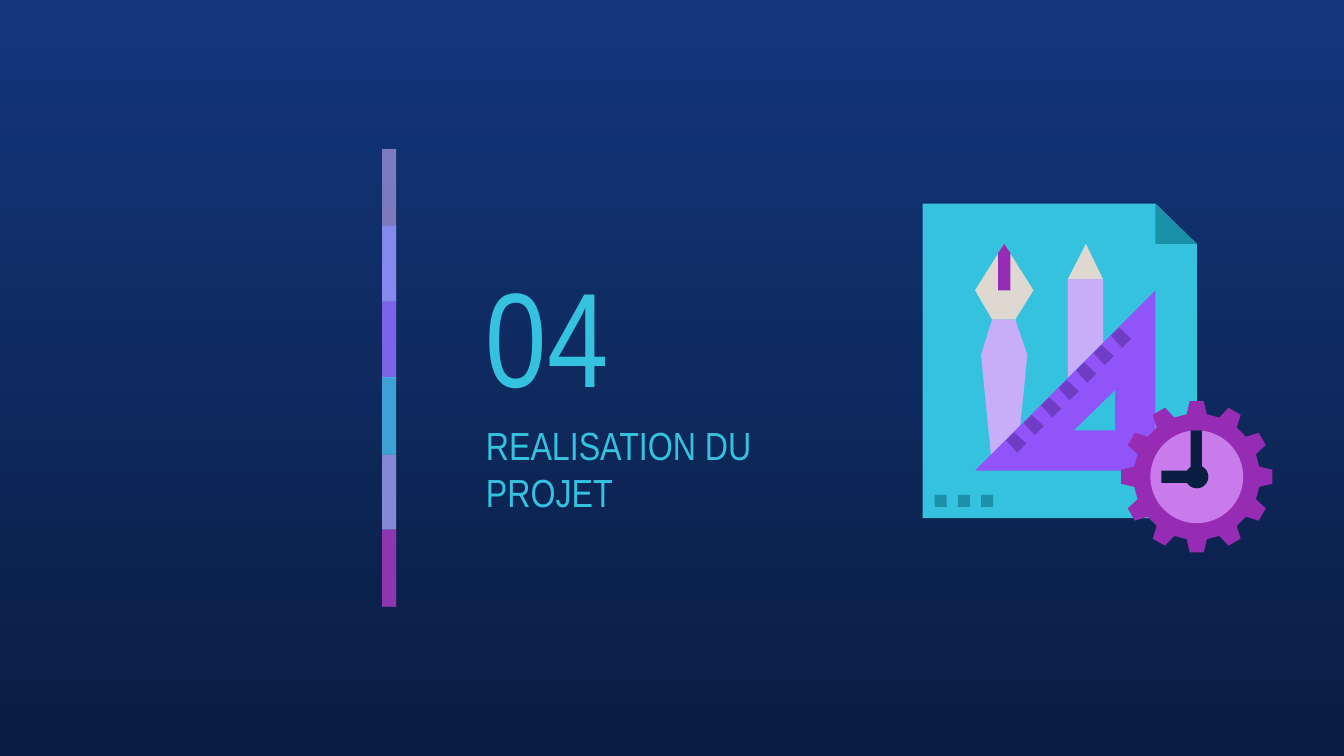
import math

from lxml import etree
from pptx import Presentation
from pptx.dml.color import RGBColor
from pptx.enum import shapes, text
from pptx.oxml.ns import qn
from pptx.util import Inches, Pt

NAVY, CYAN, TEAL = "0A1D42", "35C2DF", "1B91A9"
LILAC, VIOLET, INDIGO = "C8AEF8", "9154F8", "6F3CC6"
PURPLE, ORCHID, BEIGE = "972CB4", "CA7BEB", "DED8D0"
RECT, OVAL = shapes.MSO_SHAPE.RECTANGLE, shapes.MSO_SHAPE.OVAL


def rgb(color):
    return RGBColor.from_string(color)


def paint(sp, color, opacity=100):
    sp.shadow.inherit = False
    sp.fill.solid()
    sp.fill.fore_color.rgb = rgb(color)
    sp.line.fill.background()
    if opacity < 100:
        clr = sp._element.spPr.find(qn("a:solidFill"))[0]
        etree.SubElement(clr, qn("a:alpha"), val=str(opacity * 1000))


def add_preset(parent, kind, left, top, width, height, color, opacity=100):
    box = [Inches(n) for n in (left, top, width, height)]
    paint(parent.add_shape(kind, *box), color, opacity)


def add_outline(parent, color, *contours):
    builder = None
    for contour in contours:
        points = [(Inches(x), Inches(y)) for x, y in contour]
        if builder is None:
            builder = parent.build_freeform(*points[0])
        else:
            builder.move_to(*points[0])
        builder.add_line_segments(points[1:], close=True)
    paint(builder.convert_to_shape(), color)


def add_disc(parent, center, radius, color):
    x, y = center
    add_preset(parent, OVAL, x - radius, y - radius, 2 * radius, 2 * radius, color)


def set_text(sp, box, words, size):
    sp.left, sp.top, sp.width, sp.height = [Inches(n) for n in box]
    tf = sp.text_frame
    tf.text = words
    tf.word_wrap = True
    tf.auto_size = text.MSO_AUTO_SIZE.NONE
    tf.vertical_anchor = text.MSO_ANCHOR.MIDDLE
    tf.margin_left = tf.margin_right = Inches(0.13)
    tf.margin_top = tf.margin_bottom = Inches(0.13)
    p = tf.paragraphs[0]
    p.alignment = text.PP_ALIGN.LEFT
    p.space_before = Pt(0)
    p.font.name = "Arial Narrow"
    p.font.size = Pt(size)
    p.font.bold = False
    p.font.color.rgb = rgb(CYAN)


def set_background(s):
    fill = s.background.fill
    fill.gradient()
    fill.gradient_angle = 270
    for stop, color in zip(fill.gradient_stops, ("13367C", NAVY)):
        stop.color.rgb = rgb(color)


def add_color_bar(s):
    # Each translucent band runs on beneath the next one
    bands = [(1.48, LILAC, 59), (2.24, "878FFF", 74), (2.99, VIOLET, 53),
             (3.74, CYAN, 76), (4.51, ORCHID, 56), (5.26, PURPLE, 74)]
    for top, color, opacity in bands:
        height = min(1.51, 6.02 - top)
        add_preset(s.shapes, RECT, 3.79, top, 0.14, height, color, opacity)


def add_sheet(art):
    add_outline(art, CYAN, [(9.15, 2.02), (9.15, 5.14), (11.87, 5.14),
                            (11.87, 2.42), (11.46, 2.02)])
    add_outline(art, TEAL, [(11.46, 2.02), (11.46, 2.42), (11.87, 2.42)])
    for i in range(3):
        add_preset(art, RECT, 9.27 + 0.23 * i, 4.91, 0.12, 0.12, TEAL)


def add_pencil(art):
    add_outline(art, BEIGE, [(10.77, 2.42), (10.59, 2.77), (10.94, 2.77)])
    add_outline(art, LILAC, [(10.59, 2.77), (10.59, 3.75), (10.94, 3.4), (10.94, 2.77)])


def add_pen(art):
    add_outline(art, BEIGE, [(9.96, 2.42), (9.67, 2.88), (9.84, 3.17),
                             (10.07, 3.17), (10.25, 2.88)])
    add_outline(art, LILAC, [(9.84, 3.17), (9.73, 3.52), (9.83, 4.52),
                             (10.12, 4.22), (10.19, 3.52), (10.07, 3.17)])
    add_outline(art, PURPLE, [(9.96, 2.42), (9.9, 2.51), (9.9, 2.88),
                              (10.02, 2.88), (10.02, 2.51)])


def add_set_square(art):
    add_outline(art, VIOLET,
                [(11.06, 3.87), (11.06, 4.27), (10.65, 4.27)],
                [(11.46, 2.88), (9.67, 4.67), (11.46, 4.67)])
    # Ruler marks climb the long edge at 45 degrees
    mark = [(0.08, 0), (0, 0.08), (0.11, 0.2), (0.2, 0.11)]
    for i in range(7):
        shift = 1.04 * i / 6
        add_outline(art, INDIGO, [(9.98 + shift + x, 4.29 - shift + y) for x, y in mark])


def add_gear_clock(art):
    cx, cy = center = (11.87, 4.73)
    tooth = [(-0.1, -0.62), (-0.07, -0.75), (0.07, -0.75), (0.1, -0.62)]
    rim = []
    for i in range(12):
        turn = math.radians(30 * i)
        cos, sin = math.cos(turn), math.sin(turn)
        rim += [(cx + x * cos - y * sin, cy + x * sin + y * cos) for x, y in tooth]
    add_outline(art, PURPLE, rim)
    add_disc(art, center, 0.46, ORCHID)
    add_outline(art, NAVY, [(11.81, 4.27), (11.81, 4.67), (11.52, 4.67),
                            (11.52, 4.79), (11.92, 4.79), (11.92, 4.27)])
    add_disc(art, center, 0.115, NAVY)


def main():
    prs = Presentation()
    prs.slide_width, prs.slide_height = Inches(13.33), Inches(7.5)
    s = prs.slides.add_slide(prs.slide_layouts.get_by_name("Section Header"))
    set_background(s)
    add_color_bar(s)

    # Section number and name
    set_text(s.shapes.title, (4.69, 2.41, 2.33, 1.8), "04", 96)
    set_text(s.placeholders[1], (4.69, 4.2, 3.82, 0.89), "REALISATION DU PROJET", 28)

    # Design and planning illustration
    art = s.shapes.add_group_shape().shapes
    add_sheet(art)
    add_pencil(art)
    add_pen(art)
    add_set_square(art)
    add_gear_clock(art)
    prs.save("out.pptx")


if __name__ == "__main__":
    main()
